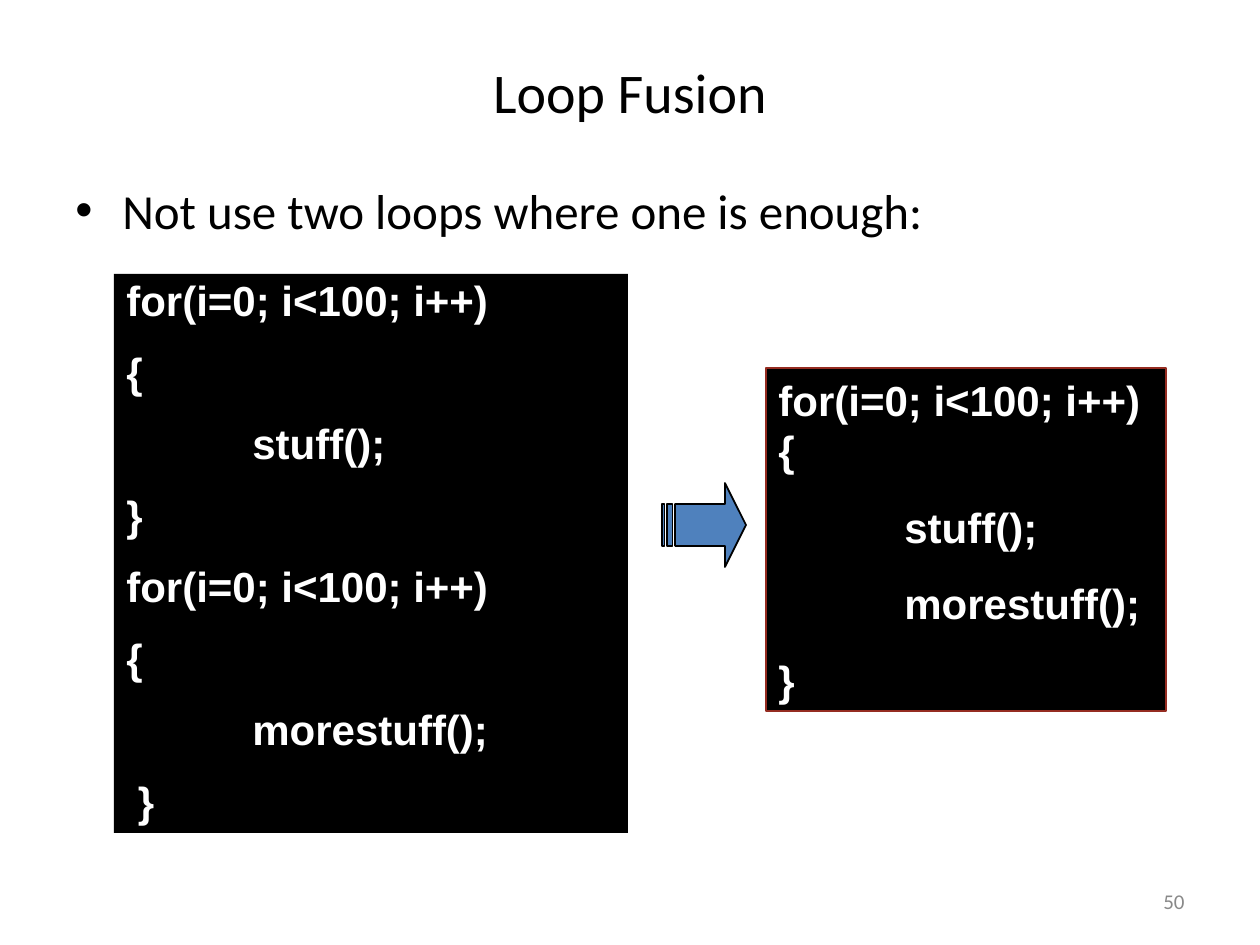
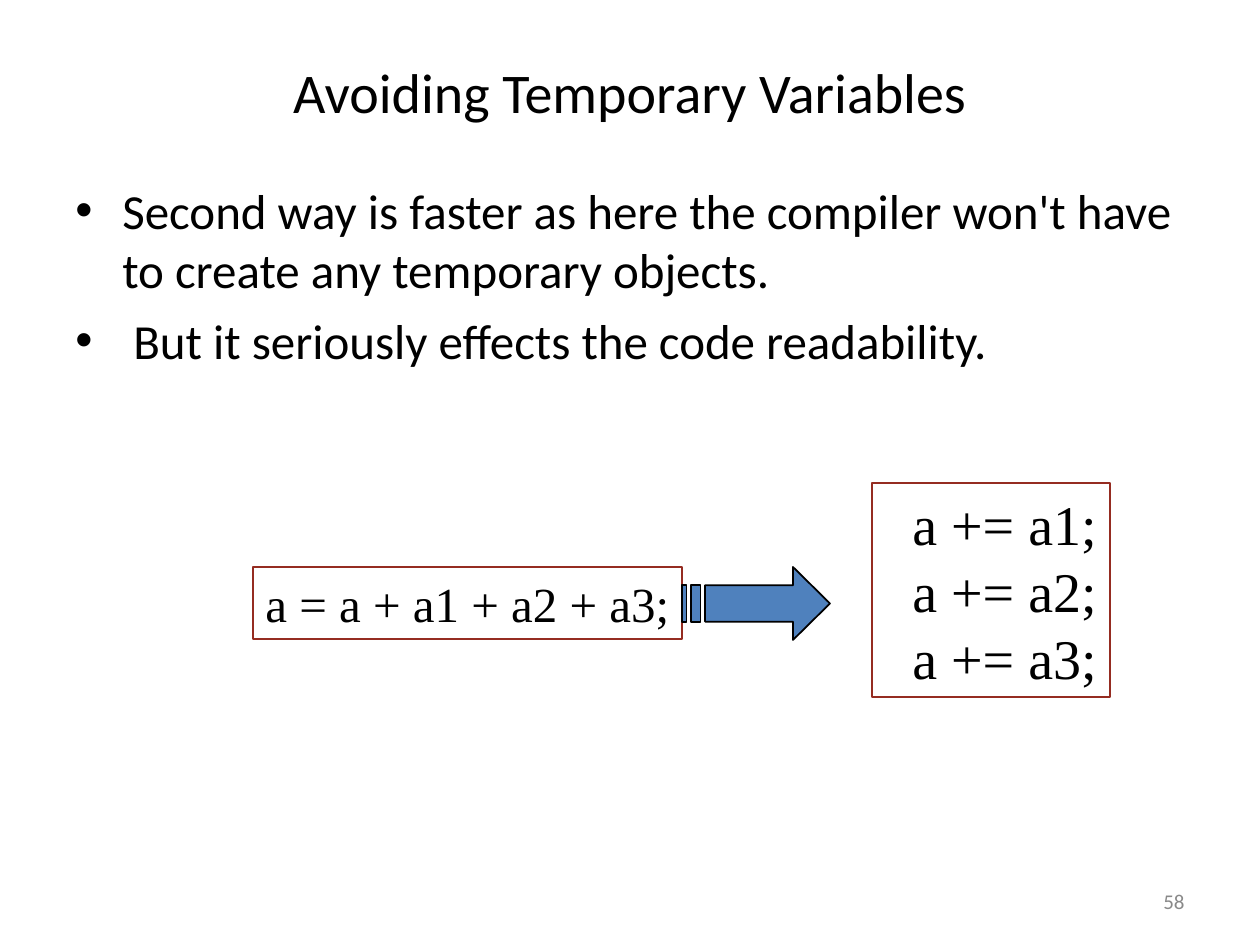
from dataclasses import dataclass
from lxml import etree
from pptx import Presentation
from pptx import util as u
from pptx.dml import color
from pptx.enum import shapes, text
from pptx.oxml import ns

SCALE = 914400 / 126


@dataclass(frozen=True)
class Theme:
    ink: str = "000000"
    paper: str = "FFFFFF"
    frame: str = "952C21"
    arrow: str = "4F81BD"
    muted: str = "898989"
    sans: str = "Calibri"
    code: str = "Arial"
    serif: str = "Times New Roman"
    title_size: int = 32
    body_size: int = 28
    code_size: int = 24
    number_size: int = 12


THEME = Theme()
TITLE_BOX = (0, 38, 1260, 107)
BODY_BOX = (63, 174, 1134, 669)
NUMBER_BOX = (903, 876, 294, 50)
BULLET_INDENT = 47
CODE_TAB = 126


def emu(px):
    return u.Emu(round(px * SCALE))


def rgb(value):
    return color.RGBColor.from_string(value)


def write_lines(shape, lines, font, size, ink, bold=False, align=text.PP_ALIGN.LEFT,
                anchor=text.MSO_ANCHOR.TOP, wrap=True, gap=0, spacing=1.0, bullet=False):
    frame = shape.text_frame
    frame.word_wrap = wrap
    frame.auto_size = text.MSO_AUTO_SIZE.NONE
    frame.vertical_anchor = anchor
    for index, line in enumerate(lines):
        para = frame.paragraphs[0] if index == 0 else frame.add_paragraph()
        para.alignment = align
        para.line_spacing = spacing
        para.space_before = u.Pt(gap if index else 0)
        if bullet:
            add_bullet(para)
        if line.startswith("\t"):
            add_tab_stop(para)
        span = para.add_run()
        span.text = line
        span.font.name = font
        span.font.size = u.Pt(size)
        span.font.bold = bold
        span.font.color.rgb = rgb(ink)


def add_bullet(para):
    properties = para._p.get_or_add_pPr()
    properties.set("marL", str(emu(BULLET_INDENT)))
    properties.set("indent", str(-emu(BULLET_INDENT)))
    etree.SubElement(properties, ns.qn("a:buFont")).set("typeface", THEME.code)
    etree.SubElement(properties, ns.qn("a:buChar")).set("char", "•")


def add_tab_stop(para):
    stops = etree.SubElement(para._p.get_or_add_pPr(), ns.qn("a:tabLst"))
    etree.SubElement(stops, ns.qn("a:tab"), pos=str(emu(CODE_TAB)), algn="l")


def add_text(page, box, lines, size, ink=THEME.ink, **style):
    shape = page.shapes.add_textbox(*map(emu, box))
    write_lines(shape, lines, THEME.sans, size, ink, **style)


def add_code_box(page, box, lines, font, size, ink, fill=None, line=None, **style):
    shape = page.shapes.add_shape(shapes.MSO_SHAPE.RECTANGLE, *map(emu, box))
    paint(shape, fill, line)
    write_lines(shape, lines, font, size, ink, **style)


def paint(shape, fill, line):
    shape.shadow.inherit = False
    if fill:
        shape.fill.solid()
        shape.fill.fore_color.rgb = rgb(fill)
    else:
        shape.fill.background()
    if line:
        shape.line.color.rgb = rgb(line)
        shape.line.width = u.Pt(1)
    else:
        shape.line.fill.background()


def add_striped_arrow(page, box):
    left, top, width, height = map(emu, box)

    def place(points):
        return [(left + x * width / 32, top + y * height / 4) for x, y in points]

    head = place([(24, 0), (24, 1), (5, 1), (5, 3), (24, 3), (24, 4), (32, 2)])
    builder = page.shapes.build_freeform(*head[0], scale=1.0)
    builder.add_line_segments(head[1:], close=True)
    for start, end in ((2, 4), (0, 1)):
        stripe = place([(start, 1), (start, 3), (end, 3), (end, 1)])
        builder.move_to(*stripe[0])
        builder.add_line_segments(stripe[1:], close=True)
    paint(builder.convert_to_shape(), THEME.arrow, THEME.ink)


def add_page(deck, title, bullets, number):
    page = deck.slides.add_slide(deck.slide_layouts[6])
    middle = text.MSO_ANCHOR.MIDDLE
    add_text(page, NUMBER_BOX, [number], THEME.number_size, THEME.muted,
             align=text.PP_ALIGN.RIGHT, anchor=middle)
    add_text(page, TITLE_BOX, [title], THEME.title_size,
             align=text.PP_ALIGN.CENTER, anchor=middle)
    add_text(page, BODY_BOX, bullets, THEME.body_size, gap=7, bullet=True)
    return page


def loop_fusion(deck):
    page = add_page(deck, "Loop Fusion", ["Not use two loops where one is enough:"], "50")
    style = dict(font=THEME.code, size=THEME.code_size, ink=THEME.paper,
                 fill=THEME.ink, bold=True, gap=15)
    fused = ["for(i=0; i<100; i++) {", "\tstuff();", "\tmorestuff();", "}"]
    separate = ["for(i=0; i<100; i++)", "{", "\tstuff();", "}",
                "for(i=0; i<100; i++)", "{", "\tmorestuff();", " }"]
    add_code_box(page, (766, 368, 400, 343), fused, line=THEME.frame, **style)
    add_code_box(page, (114, 274, 514, 559), separate, spacing=0.9, **style)
    add_striped_arrow(page, (662, 483, 84, 84))


def temporary_variables(deck):
    bullets = ["Second way is faster as here the compiler won't have "
               "to create any temporary objects.",
               " But it seriously effects the code readability."]
    page = add_page(deck, "Avoiding Temporary Variables", bullets, "58")
    style = dict(font=THEME.serif, ink=THEME.ink, line=THEME.frame, wrap=False)
    add_code_box(page, (253, 567, 429, 72), ["a = a + a1 + a2 + a3;"],
                 size=THEME.body_size, **style)
    add_code_box(page, (872, 483, 238, 214), [f"  a += a{term};" for term in (1, 2, 3)],
                 size=THEME.title_size, **style)
    add_striped_arrow(page, (682, 567, 148, 73))


def main():
    deck = Presentation()
    deck.slide_width, deck.slide_height = emu(1260), emu(945)
    loop_fusion(deck)
    temporary_variables(deck)
    deck.save("out.pptx")


if __name__ == "__main__":
    main()
